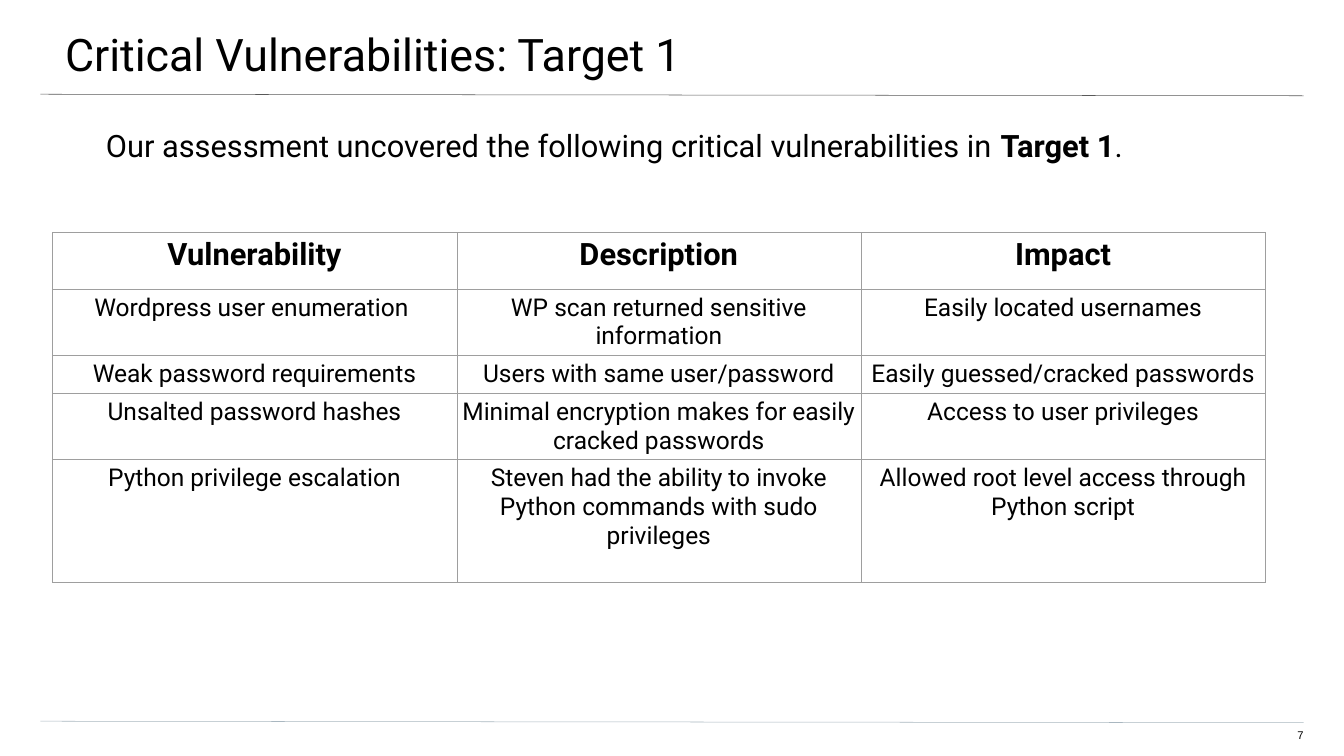
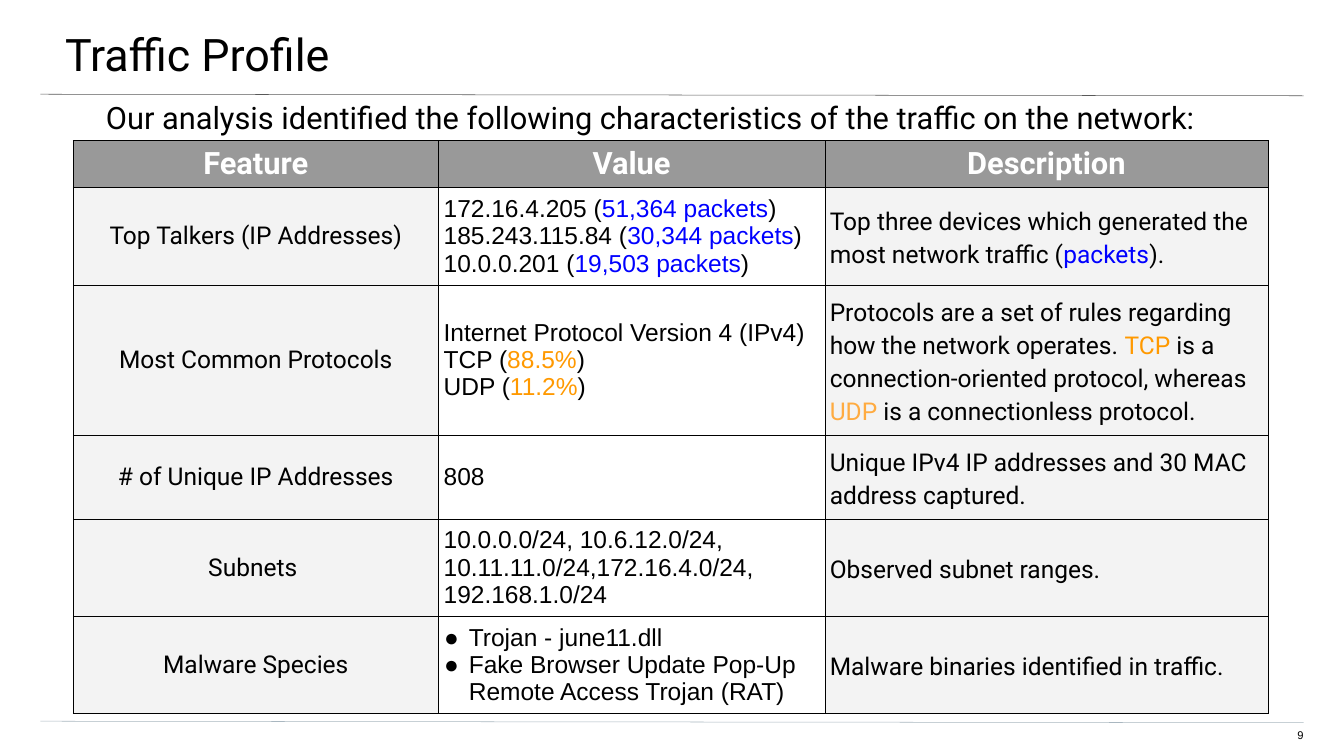
from lxml import etree
from pptx import Presentation
from pptx.dml.color import RGBColor
from pptx.enum.shapes import MSO_CONNECTOR
from pptx.enum.text import MSO_ANCHOR as ANCHOR, MSO_AUTO_SIZE as AUTO_SIZE
from pptx.enum.text import PP_ALIGN as ALIGN
from pptx.oxml import parse_xml
from pptx.oxml.ns import nsdecls, qn
from pptx.util import Inches, Pt

BLACK = RGBColor(0x00, 0x00, 0x00)
WHITE = RGBColor(0xFF, 0xFF, 0xFF)
TITLE_RULE = RGBColor(0x59, 0x59, 0x59)
FOOTER_RULE = RGBColor(0xA9, 0xB7, 0xC0)
GRID = RGBColor(0x9E, 0x9E, 0x9E)
HEADER_FILL = RGBColor(0x99, 0x99, 0x99)
SIDE_FILL = RGBColor(0xF3, 0xF3, 0xF3)
BLUE = RGBColor(0x00, 0x00, 0xFF)
ORANGE = RGBColor(0xFF, 0x99, 0x00)
LIGHT_ORANGE = RGBColor(0xFF, 0xAB, 0x40)

VULNERABILITIES = [
    ["Vulnerability", "Description", "Impact"],
    ["Wordpress user enumeration ", "WP scan returned sensitive information",
     "Easily located usernames"],
    ["Weak password requirements", "Users with same user/password",
     "Easily guessed/cracked passwords"],
    ["Unsalted password hashes",
     "Minimal encryption makes for easily cracked passwords",
     "Access to user privileges"],
    ["Python privilege escalation",
     "Steven had the ability to invoke Python commands with sudo privileges",
     "Allowed root level access through Python script"],
]

TRAFFIC_HEADER = ["Feature", "Value", "Description"]
TRAFFIC = [
    ("Top Talkers (IP Addresses)",
     [["172.16.4.205 (", ("51,364 packets", BLUE), ")"],
      ["185.243.115.84 (", ("30,344 packets", BLUE), ")"],
      ["10.0.0.201 (", ("19,503 packets", BLUE), ")"]],
     ["Top three devices which generated the most network traffic (",
      ("packets", BLUE), ")."]),
    ("Most Common Protocols",
     [["Internet Protocol Version 4 (IPv4)"],
      ["TCP (", ("88.5%", ORANGE), ")"],
      ["UDP (", ("11.2%", ORANGE), ")"]],
     ["Protocols are a set of rules regarding how the network operates. ",
      ("TCP ", ORANGE), "is a connection-oriented protocol, whereas ",
      ("UDP ", LIGHT_ORANGE), "is a connectionless protocol."]),
    ("# of Unique IP Addresses", [["808"]],
     ["Unique IPv4 IP addresses and 30 MAC address captured."]),
    ("Subnets ",
     [["10.0.0.0/24, 10.6.12.0/24, 10.11.11.0/24,172.16.4.0/24,"],
      ["192.168.1.0/24"]],
     ["Observed subnet ranges."]),
    ("Malware Species",
     [["Trojan - june11.dll"],
      ["Fake Browser Update Pop-Up Remote Access Trojan (RAT)"]],
     ["Malware binaries identified in traffic."]),
]


class Deck:
    """Holds the shared style and the slide being built."""

    font = "Roboto"
    plain_font = "Arial"
    title_size, lead_size, cell_size, number_size = 64, 44, 35, 16

    def __init__(self):
        self.prs = Presentation()
        self.prs.slide_width, self.prs.slide_height = Inches(26.66), Inches(15)
        self.s = None

    def slide(self, title, number):
        self.s = self.prs.slides.add_slide(self.prs.slide_layouts[6])
        self.rule(1.87, TITLE_RULE)
        self.rule(14.31, FOOTER_RULE)
        self.text((-0.04, 0, 26.73, 1.56), [title], self.title_size,
                  (1.33, 0.53, 0.8, 0))
        self.text((25.1, 14.46, 0.76, 0.31), [str(number)], self.number_size,
                  (0, 0, 0, 0), font=self.plain_font, align=ALIGN.RIGHT)

    def rule(self, top, color):
        line = self.s.shapes.add_connector(
            MSO_CONNECTOR.STRAIGHT, Inches(0.8), Inches(top),
            Inches(25.86), Inches(top + 0.03))
        line.line.color.rgb = color
        line.line.width = Pt(0.75)
        etree.SubElement(line._element.spPr, qn("a:effectLst"))

    def runs(self, p, parts, size, font=None, color=BLACK, bold=False):
        for part in parts:
            text, shade = (part, color) if isinstance(part, str) else part
            r = p.add_run()
            r.text = text
            r.font.name = font or self.font
            r.font.size = Pt(size)
            r.font.bold = bold
            r.font.color.rgb = shade
        return p

    def text(self, box, parts, size, insets, font=None, align=ALIGN.LEFT):
        sp = self.s.shapes.add_textbox(*map(Inches, box))
        tf = sp.text_frame
        tf.word_wrap = True
        tf.auto_size = AUTO_SIZE.NONE
        tf.vertical_anchor = ANCHOR.TOP
        tf.margin_left, tf.margin_top, tf.margin_right, tf.margin_bottom = map(
            Inches, insets)
        p = self.runs(tf.paragraphs[0], parts, size, font)
        p.alignment = align
        return p

    def lead(self, top, height, parts):
        return self.text((0.77, top, 25.09, height), parts, self.lead_size,
                         (1.33, 0, 1.33, 0))

    def table(self, left, top, cols, rows):
        frame = self.s.shapes.add_table(
            len(rows), len(cols), Inches(left), Inches(top),
            Inches(sum(cols)), Inches(sum(rows)))
        tbl = frame.table
        tbl.first_row = tbl.horz_banding = False
        for col, width in zip(tbl.columns, cols):
            col.width = Inches(width)
        for row, height in zip(tbl.rows, rows):
            row.height = Inches(height)
        return tbl

    def cell(self, cell, paragraphs, border, fill=None, anchor=ANCHOR.TOP,
             align=ALIGN.CENTER, size=cell_size, **style):
        cell.margin_left = cell.margin_right = Inches(0.1)
        cell.margin_top = cell.margin_bottom = Inches(0.09)
        cell.vertical_anchor = anchor
        for side in "LRTB":
            cell._tc.get_or_add_tcPr().append(parse_xml(
                f'<a:ln{side} {nsdecls("a")} w="9525"><a:solidFill>'
                f'<a:srgbClr val="{border}"/></a:solidFill></a:ln{side}>'))
        if fill is None:
            cell.fill.background()
        else:
            cell.fill.solid()
            cell.fill.fore_color.rgb = fill
        tf = cell.text_frame
        for i, parts in enumerate(paragraphs):
            p = tf.add_paragraph() if i else tf.paragraphs[0]
            p.alignment = align
            self.runs(p, parts, size, **style)
        return tf.paragraphs

    def header(self, tbl, labels, border, **style):
        for cell, label in zip(tbl.rows[0].cells, labels):
            self.cell(cell, [[label]], border, size=self.lead_size, bold=True,
                      **style)

    def bullet(self, p):
        pPr = p._p.get_or_add_pPr()
        pPr.set("marL", str(Inches(0.5)))
        pPr.set("indent", str(Inches(-0.49)))
        color = etree.SubElement(pPr, qn("a:buClr"))
        etree.SubElement(color, qn("a:srgbClr"), val=str(BLACK))
        etree.SubElement(pPr, qn("a:buFont"), typeface=self.plain_font)
        etree.SubElement(pPr, qn("a:buChar"), char="●")


def vulnerabilities(deck):
    deck.slide("Critical Vulnerabilities: Target 1", 7)
    p = deck.lead(2.51, 10.79, [
        "Our assessment uncovered the following critical vulnerabilities in ",
        "Target 1", "."])
    p.runs[1].font.bold = True
    tbl = deck.table(1.04, 4.61, [8.02] * 3, [1.12, 1.27, 0.42, 0.42, 2.44])
    deck.header(tbl, VULNERABILITIES[0], GRID)
    for r, row in enumerate(VULNERABILITIES[1:], 1):
        for c, text in enumerate(row):
            deck.cell(tbl.cell(r, c), [[text]], GRID)


def traffic(deck):
    deck.slide("Traffic Profile", 9)
    p = deck.lead(1.95, 12.39, [
        "Our analysis identified the following characteristics of the traffic "
        "on the network:"])
    p.space_after = Pt(12)
    tbl = deck.table(1.45, 2.79, [7.25, 7.66, 8.8],
                     [0.93, 1.93, 2.99, 1.66, 1.93, 1.93])
    middle = {"border": BLACK, "anchor": ANCHOR.MIDDLE}
    deck.header(tbl, TRAFFIC_HEADER, fill=HEADER_FILL, color=WHITE, **middle)
    for r, (feature, values, description) in enumerate(TRAFFIC, 1):
        deck.cell(tbl.cell(r, 0), [[feature]], fill=SIDE_FILL, **middle)
        items = deck.cell(tbl.cell(r, 1), values, align=ALIGN.LEFT,
                          font=deck.plain_font, **middle)
        if feature == "Malware Species":
            for p in items:
                deck.bullet(p)
        p = deck.cell(tbl.cell(r, 2), [description], fill=SIDE_FILL,
                      align=ALIGN.LEFT, **middle)[0]
        p.line_spacing = 1.15
        p.space_after = Pt(10)


def main():
    deck = Deck()
    vulnerabilities(deck)
    traffic(deck)
    deck.prs.save("out.pptx")


if __name__ == "__main__":
    main()
